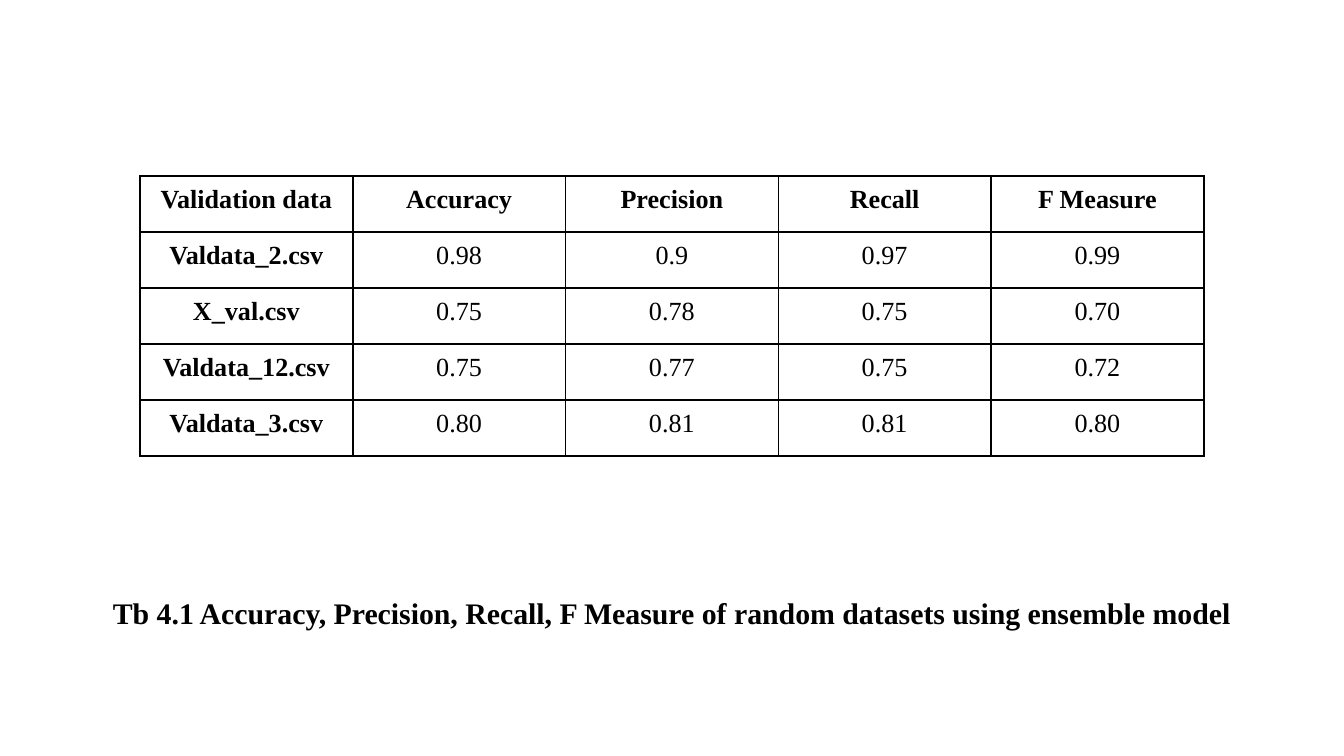
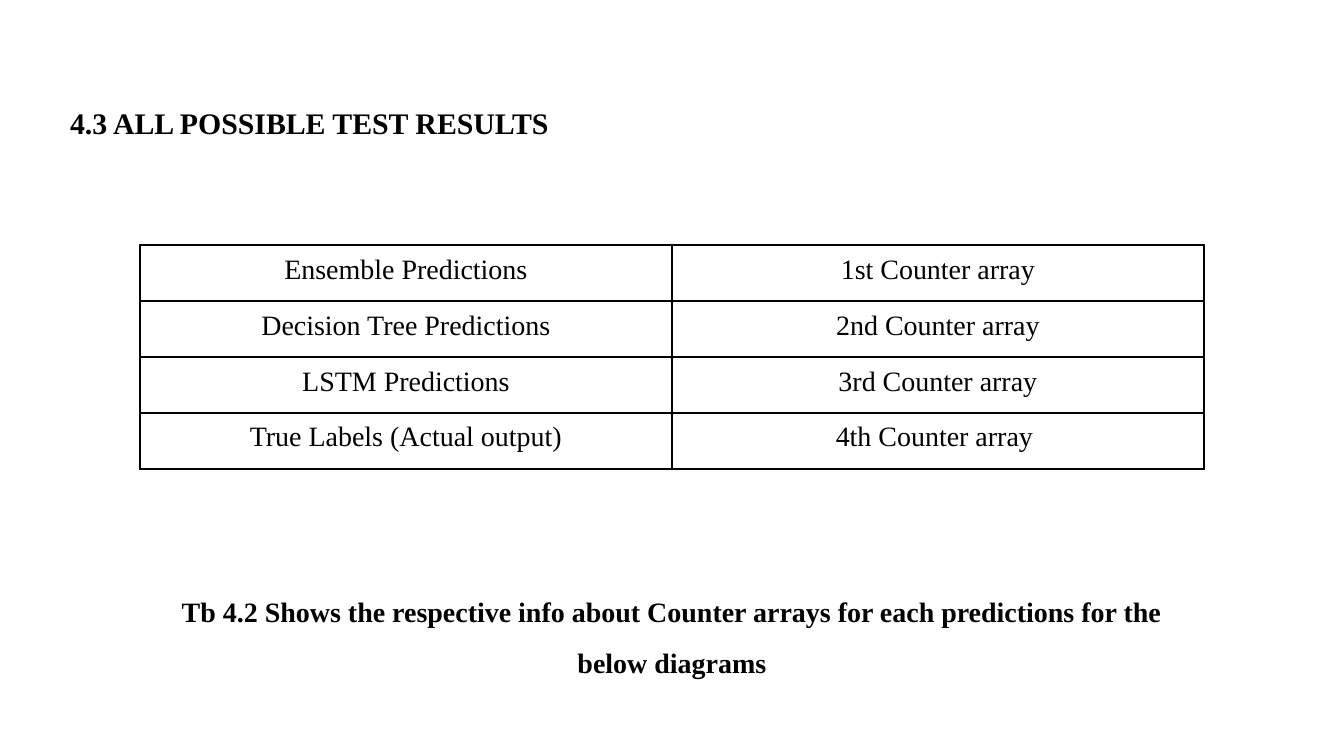
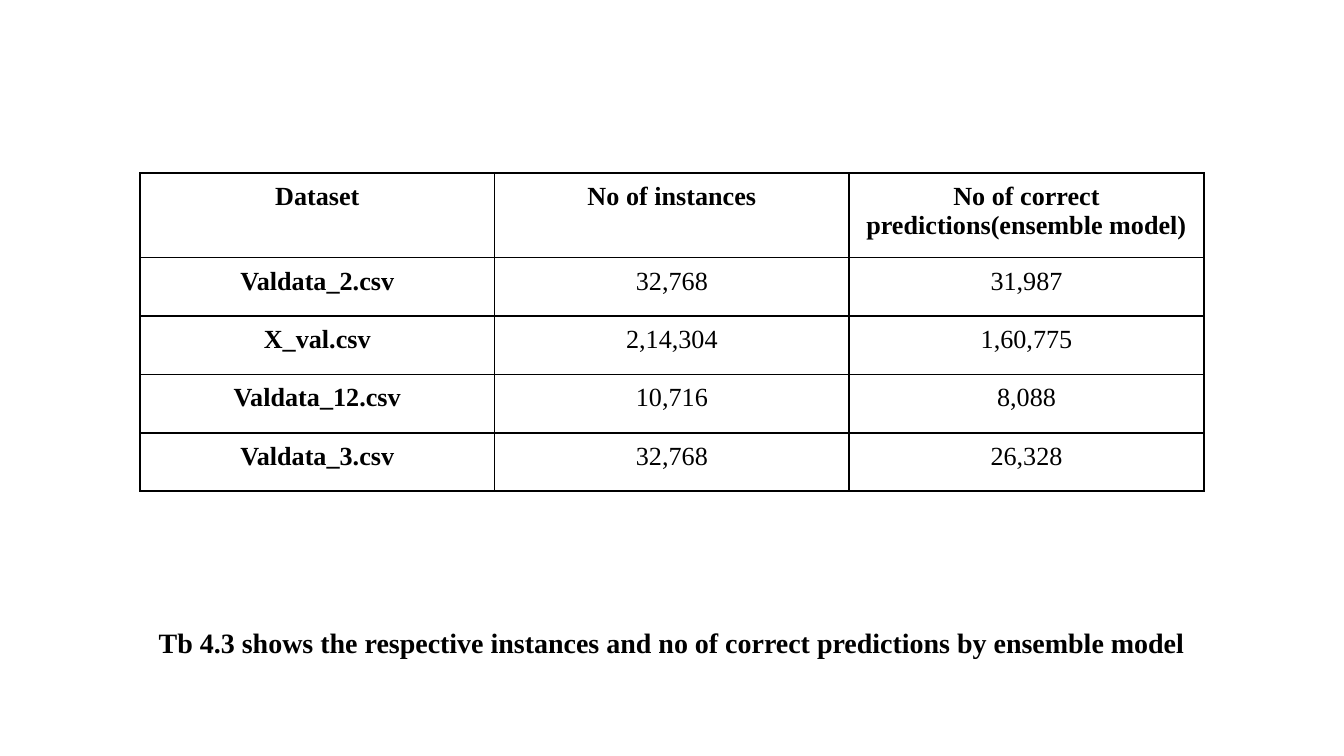
from lxml import etree
from pptx import Presentation
from pptx.dml.color import RGBColor
from pptx.enum.text import MSO_ANCHOR, MSO_AUTO_SIZE, PP_ALIGN
from pptx.oxml.ns import qn
from pptx.util import Pt

CENTER, LEFT = PP_ALIGN.CENTER, PP_ALIGN.LEFT
TOP, MIDDLE = MSO_ANCHOR.TOP, MSO_ANCHOR.MIDDLE
NO_AUTOFIT = MSO_AUTO_SIZE.NONE

# Shared style
FONT = "Times New Roman"
BLACK = "000000"
LINE_SPACING = 1.5
INSET = 7.2
CELL_INSET = 5
TABLE_LEFT, TABLE_WIDTH = 75, 570
TITLE_ONLY, BLANK = 5, 6

# Table contents
SCORES = [
    ["Validation data", "Accuracy", "Precision", "Recall", "F Measure"],
    ["Valdata_2.csv", "0.98", "0.9", "0.97", "0.99"],
    ["X_val.csv", "0.75", "0.78", "0.75", "0.70"],
    ["Valdata_12.csv", "0.75", "0.77", "0.75", "0.72"],
    ["Valdata_3.csv", "0.80", "0.81", "0.81", "0.80"],
]
COUNTER_ARRAYS = [
    ["Ensemble Predictions", "1st Counter array"],
    ["Decision Tree Predictions", "2nd Counter array"],
    ["LSTM Predictions", "3rd Counter array"],
    ["True Labels (Actual output)", "4th Counter array "],
]
CORRECT_PREDICTIONS = [
    ["Dataset", "No of instances", "No of correct predictions(ensemble model)"],
    ["Valdata_2.csv", "32,768", "31,987"],
    ["X_val.csv", "2,14,304", "1,60,775"],
    ["Valdata_12.csv", "10,716", "8,088"],
    ["Valdata_3.csv", "32,768", "26,328"],
]


def rgb(color):
    return RGBColor.from_string(color)


def add_run(p, text, size, bold):
    r = p.add_run()
    r.text = text
    r.font.name = FONT
    r.font.size = Pt(size)
    r.font.bold = bold
    r.font.color.rgb = rgb(BLACK)


def write_line(sp, text, size, align, anchor, left_inset=INSET, top_inset=INSET):
    """Fill a title or caption with one bold, widely spaced paragraph."""
    tf = sp.text_frame
    tf.word_wrap = True
    tf.auto_size = NO_AUTOFIT
    tf.vertical_anchor = anchor
    tf.margin_left, tf.margin_top = Pt(left_inset), Pt(top_inset)
    tf.margin_right = tf.margin_bottom = Pt(INSET)
    p = tf.paragraphs[0]
    p.alignment = align
    p.line_spacing = LINE_SPACING
    p.space_before = Pt(0)
    add_run(p, text, size, True)


def set_title(s, text, left, top, width, height):
    sp = s.shapes.title
    sp.left, sp.top, sp.width, sp.height = Pt(left), Pt(top), Pt(width), Pt(height)
    write_line(sp, text, 16, LEFT, MIDDLE, left_inset=19)


def add_caption(s, text, left, top, width, height, size=15, top_inset=INSET):
    sp = s.shapes.add_textbox(Pt(left), Pt(top), Pt(width), Pt(height))
    write_line(sp, text, size, CENTER, TOP, top_inset=top_inset)


def set_borders(cell):
    # Borders precede the fill in the cell properties
    tc_pr = cell._tc.get_or_add_tcPr()
    for i, side in enumerate(("a:lnL", "a:lnR", "a:lnT", "a:lnB")):
        ln = etree.Element(qn(side), w=str(Pt(1)))
        fill = etree.SubElement(ln, qn("a:solidFill"))
        etree.SubElement(fill, qn("a:srgbClr"), val=BLACK)
        tc_pr.insert(i, ln)


def add_grid(s, rows, top, heights, size=14, headed=True):
    """Add a ruled table; a headed one has a bold first row and column."""
    n_cols = len(rows[0])
    table = s.shapes.add_table(len(rows), n_cols, Pt(TABLE_LEFT), Pt(top),
                               Pt(TABLE_WIDTH), Pt(sum(heights))).table
    table.first_row = headed
    table.horz_banding = False
    for col in table.columns:
        col.width = Pt(TABLE_WIDTH / n_cols)
    for i, (row, height) in enumerate(zip(rows, heights)):
        table.rows[i].height = Pt(height)
        for j, text in enumerate(row):
            cell = table.cell(i, j)
            cell.fill.background()
            set_borders(cell)
            cell.margin_left = cell.margin_right = Pt(CELL_INSET)
            cell.margin_top = cell.margin_bottom = Pt(CELL_INSET)
            p = cell.text_frame.paragraphs[0]
            p.alignment = CENTER
            add_run(p, text, size, headed and (i == 0 or j == 0))


def main():
    prs = Presentation()
    prs.slide_width, prs.slide_height = Pt(720), Pt(405)
    layouts = prs.slide_layouts

    # Scores of the ensemble model
    s = prs.slides.add_slide(layouts[BLANK])
    add_grid(s, SCORES, 94.3, [30] * 5)
    add_caption(s, "Tb 4.1 Accuracy, Precision, Recall, F Measure of random datasets "
                "using ensemble model", 19.5, 309, 681, 47.5, size=16, top_inset=0)

    # Counter arrays
    s = prs.slides.add_slide(layouts[TITLE_ONLY])
    set_title(s, "4.3 ALL POSSIBLE TEST RESULTS", 18.5, 37, 472, 47.5)
    add_grid(s, COUNTER_ARRAYS, 131.2, [30] * 4, size=15, headed=False)
    add_caption(s, "Tb 4.2 Shows the respective info about Counter arrays for each "
                "predictions for the below diagrams", 87, 302.5, 546, 60)

    # Correct predictions
    s = prs.slides.add_slide(layouts[BLANK])
    add_grid(s, CORRECT_PREDICTIONS, 92.6, [45.4] + [31.3] * 4)
    add_caption(s, "Tb 4.3 shows the respective instances and no of correct predictions "
                "by ensemble model", 32.5, 319, 655, 47.5)

    prs.save("out.pptx")


if __name__ == "__main__":
    main()
